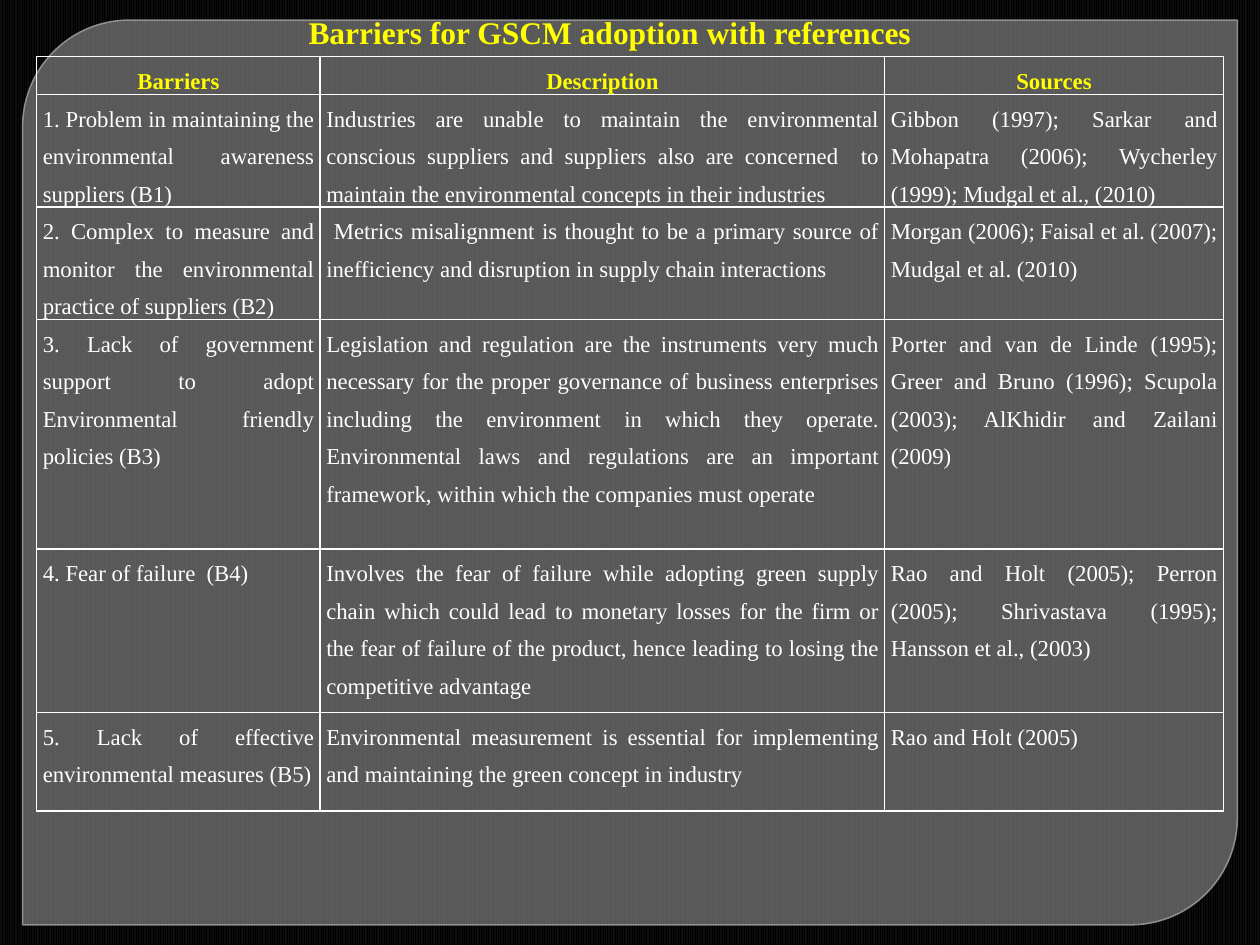
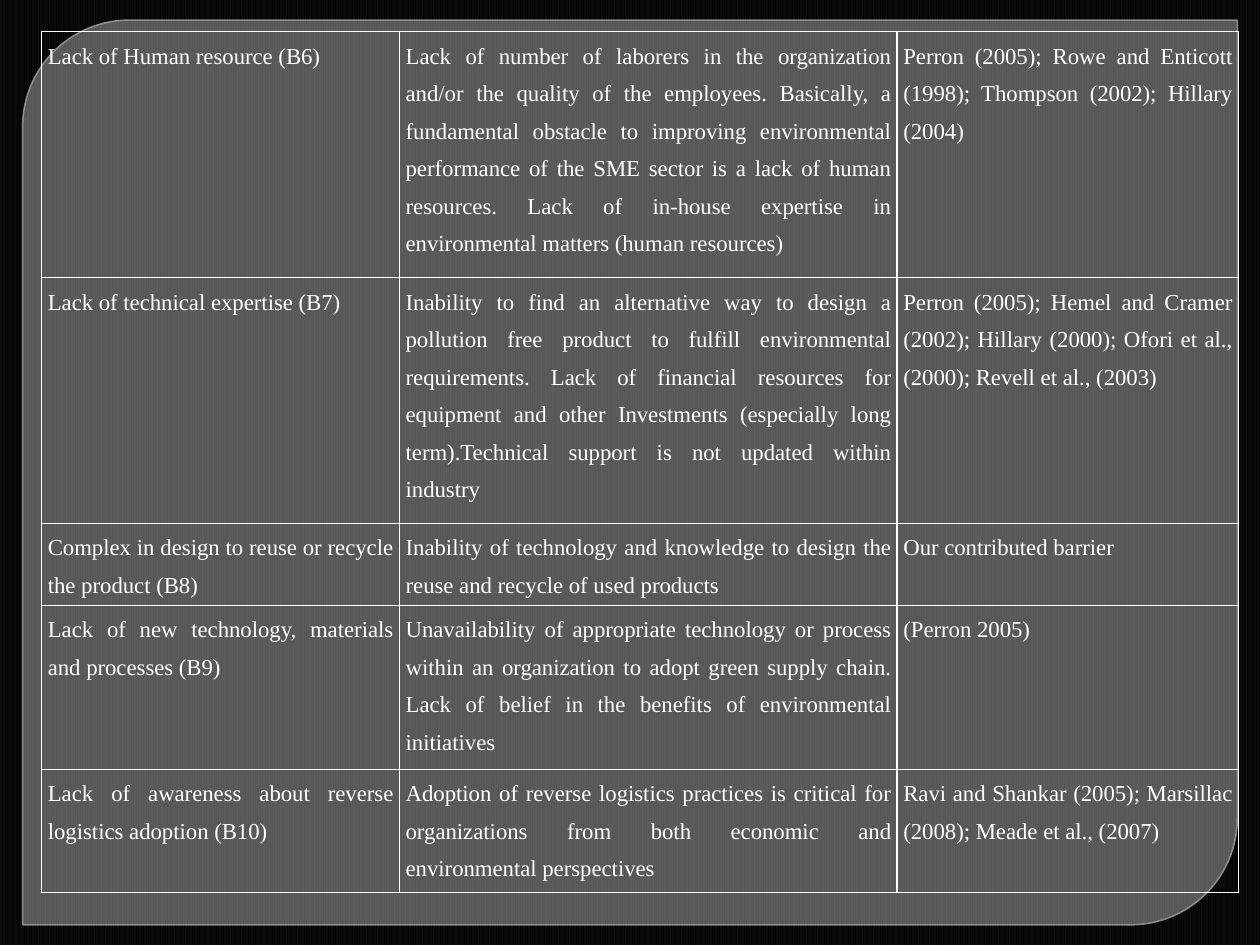
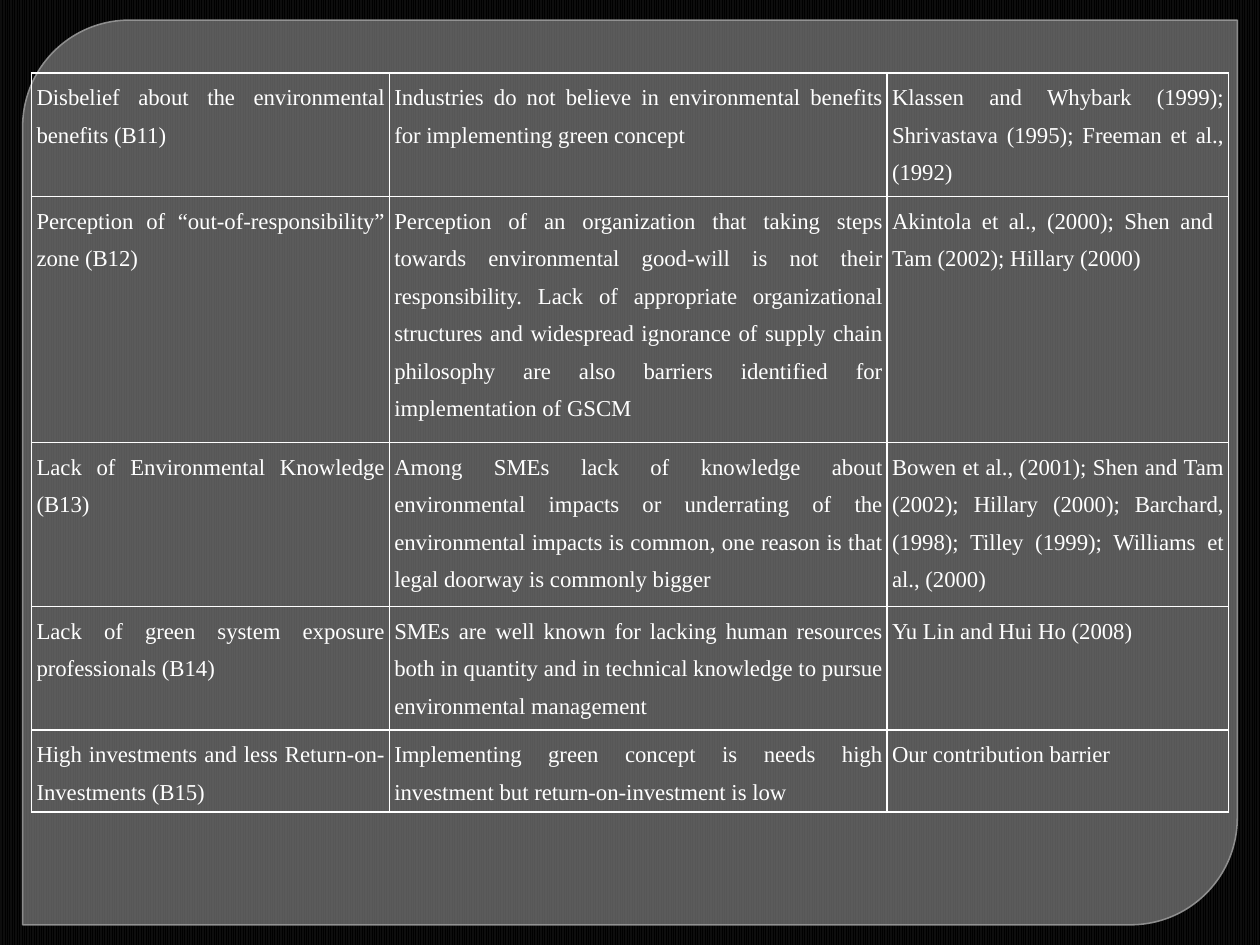
import lxml.etree
import pptx
import pptx.dml.color
import pptx.enum.dml
import pptx.enum.shapes
import pptx.enum.text
import pptx.oxml.ns
import pptx.util
from dataclasses import dataclass
from pptx.util import Inches

qn = pptx.oxml.ns.qn
ALIGN = pptx.enum.text.PP_ALIGN
ANCHOR = pptx.enum.text.MSO_ANCHOR


def rgb(code):
    return pptx.dml.color.RGBColor.from_string(code)


@dataclass(frozen=True)
class Theme:
    font: str = "Times New Roman"
    heading: str = "FFFF00"
    body: str = "FFFFFF"
    border: str = "FFFFFF"
    stripe: str = "000000"
    backdrop: str = "0D0D0D"
    panel: str = "868686"
    panel_edge: str = "9A9A9A"
    title_size: float = 18
    table_size: float = 13
    border_width: float = 1
    panel_edge_width: float = 0.87
    line_spacing: float = 1.5


class Deck:
    """Holds the theme and the slide being filled."""

    def __init__(self, theme):
        self.theme = theme
        self.presentation = pptx.Presentation()
        self.presentation.slide_width = Inches(10)
        self.presentation.slide_height = Inches(7.5)
        self.slide = None

    def apply(self, target, formats):
        for name, value in formats.items():
            setattr(target, name, value)

    def set_alpha(self, fill, percent):
        color = fill._xPr.find(qn("a:solidFill"))[0]
        lxml.etree.SubElement(color, qn("a:alpha"), val=str(percent * 1000))

    def new_slide(self):
        blank = self.presentation.slide_layouts[6]
        self.slide = self.presentation.slides.add_slide(blank)
        backdrop = self.slide.background.fill
        backdrop.patterned()
        backdrop.pattern = pptx.enum.dml.MSO_PATTERN.NARROW_VERTICAL
        backdrop.fore_color.rgb = rgb(self.theme.stripe)
        backdrop.back_color.rgb = rgb(self.theme.backdrop)
        self.panel()

    def panel(self):
        panel = self.slide.shapes.add_shape(
            pptx.enum.shapes.MSO_SHAPE.ROUND_2_DIAG_RECTANGLE,
            Inches(0.18), Inches(0.16), Inches(9.64), Inches(7.18))
        panel.shadow.inherit = False
        panel.adjustments[0] = 0.118
        panel.adjustments[1] = 0
        panel.line.width = pptx.util.Pt(self.theme.panel_edge_width)
        for fill, color, alpha in (
                (panel.fill, self.theme.panel, 65),
                (panel.line.fill, self.theme.panel_edge, 88)):
            fill.solid()
            fill.fore_color.rgb = rgb(color)
            self.set_alpha(fill, alpha)

    def add_text(self, frame, text, size, color, bold, align, spacing=None):
        paragraph = frame.paragraphs[0]
        self.apply(paragraph, {"alignment": align, "line_spacing": spacing})
        run = paragraph.add_run()
        run.text = text
        self.apply(run.font, {"name": self.theme.font, "bold": bold,
                              "size": pptx.util.Pt(size)})
        run.font.color.rgb = rgb(color)

    def title(self, text):
        title = self.slide.shapes.add_textbox(
            Inches(2.35), Inches(0.05), Inches(5.29), Inches(0.4))
        self.apply(title.text_frame, {"word_wrap": True,
                                      "vertical_anchor": ANCHOR.MIDDLE})
        self.add_text(title.text_frame, text, self.theme.title_size,
                      self.theme.heading, True, ALIGN.JUSTIFY)

    def add_borders(self, cell):
        properties = cell._tc.get_or_add_tcPr()
        width = str(pptx.util.Pt(self.theme.border_width))
        for side in ("a:lnL", "a:lnR", "a:lnT", "a:lnB"):
            line = lxml.etree.SubElement(properties, qn(side), w=width)
            fill = lxml.etree.SubElement(line, qn("a:solidFill"))
            lxml.etree.SubElement(fill, qn("a:srgbClr"), val=self.theme.border)

    def table(self, left, top, widths, heights, rows, header=False, inset=0.05):
        table = self.slide.shapes.add_table(
            len(rows), len(widths), Inches(left), Inches(top),
            Inches(sum(widths)), Inches(sum(heights))).table
        self.apply(table, {"first_row": False, "horz_banding": False})
        for column, width in zip(table.columns, widths):
            column.width = Inches(width)
        for row, height in zip(table.rows, heights):
            row.height = Inches(height)
        for row_number, texts in enumerate(rows):
            is_header = header and row_number == 0
            color = self.theme.heading if is_header else self.theme.body
            align = ALIGN.CENTER if is_header else ALIGN.JUSTIFY
            for column_number, text in enumerate(texts):
                cell = table.cell(row_number, column_number)
                self.add_borders(cell)
                cell.fill.background()
                self.apply(cell, {
                    "margin_left": Inches(inset), "margin_right": Inches(inset),
                    "margin_top": 0, "margin_bottom": 0,
                    "vertical_anchor": ANCHOR.MIDDLE if is_header else ANCHOR.TOP})
                self.add_text(cell.text_frame, text, self.theme.table_size, color,
                              is_header, align, self.theme.line_spacing)


# Table contents: barrier, description, sources
BARRIERS_1_TO_5 = [
    ("Barriers", "Description", "Sources"),
    ("1. Problem in maintaining the environmental awareness suppliers (B1)",
     "Industries are unable to maintain the environmental conscious suppliers "
     "and suppliers also are concerned  to maintain the environmental concepts "
     "in their industries",
     "Gibbon (1997); Sarkar and Mohapatra (2006); Wycherley (1999); "
     "Mudgal et al., (2010)"),
    ("2. Complex to measure and monitor the environmental practice of "
     "suppliers (B2)",
     " Metrics misalignment is thought to be a primary source of inefficiency "
     "and disruption in supply chain interactions",
     "Morgan (2006); Faisal et al. (2007); Mudgal et al. (2010)"),
    ("3. Lack of government support to adopt Environmental friendly "
     "policies (B3)",
     "Legislation and regulation are the instruments very much necessary for "
     "the proper governance of business enterprises including the environment "
     "in which they operate. Environmental laws and regulations are an "
     "important framework, within which the companies must operate",
     "Porter and van de Linde (1995); Greer and Bruno (1996); Scupola (2003); "
     "AlKhidir and Zailani (2009)"),
    ("4. Fear of failure  (B4)",
     "Involves the fear of failure while adopting green supply chain which "
     "could lead to monetary losses for the firm or the fear of failure of the "
     "product, hence leading to losing the competitive advantage",
     "Rao and Holt (2005); Perron (2005); Shrivastava (1995); "
     "Hansson et al., (2003)"),
    ("5. Lack of effective environmental measures (B5)",
     "Environmental measurement is essential for implementing and maintaining "
     "the green concept in industry",
     "Rao and Holt (2005)"),
]

BARRIERS_6_TO_10 = [
    ("Lack of Human resource (B6)",
     "Lack of number of laborers in the organization and/or the quality of the "
     "employees. Basically, a fundamental obstacle to improving environmental "
     "performance of the SME sector is a lack of human resources. Lack of "
     "in-house expertise in environmental matters (human resources)",
     "Perron (2005); Rowe and Enticott (1998); Thompson (2002); Hillary (2004)"),
    ("Lack of technical expertise (B7)",
     "Inability to find an alternative way to design a pollution free product "
     "to fulfill environmental requirements. Lack of financial resources for "
     "equipment and other Investments (especially long term).Technical support "
     "is not updated within industry",
     "Perron (2005); Hemel and Cramer (2002); Hillary (2000); "
     "Ofori et al., (2000); Revell et al., (2003)"),
    ("Complex in design to reuse or recycle the product (B8)",
     "Inability of technology and knowledge to design the reuse and recycle of "
     "used products",
     "Our contributed barrier"),
    ("Lack of new technology, materials and processes (B9)",
     "Unavailability of appropriate technology or process within an "
     "organization to adopt green supply chain. Lack of belief in the benefits "
     "of environmental initiatives",
     "(Perron 2005)"),
    ("Lack of awareness about reverse logistics adoption (B10)",
     "Adoption of reverse logistics practices is critical for organizations "
     "from both economic and environmental perspectives",
     "Ravi and Shankar (2005); Marsillac (2008); Meade et al., (2007)"),
]

BARRIERS_11_TO_15 = [
    ("Disbelief about the environmental benefits (B11)",
     "Industries do not believe in environmental benefits for implementing "
     "green concept",
     "Klassen and Whybark (1999); Shrivastava (1995); Freeman et al., (1992)"),
    ("Perception of “out-of-responsibility” zone (B12)",
     "Perception of an organization that taking steps towards environmental "
     "good-will is not their responsibility. Lack of appropriate "
     "organizational structures and widespread ignorance of supply chain "
     "philosophy are also barriers identified for implementation of GSCM",
     "Akintola et al., (2000); Shen and  Tam (2002); Hillary (2000)"),
    ("Lack of Environmental Knowledge (B13)",
     "Among SMEs lack of knowledge about environmental impacts or underrating "
     "of the environmental impacts is common, one reason is that legal doorway "
     "is commonly bigger",
     "Bowen et al., (2001); Shen and Tam (2002); Hillary (2000); Barchard, "
     "(1998); Tilley (1999); Williams et al., (2000)"),
    ("Lack of green system exposure professionals (B14)",
     "SMEs are well known for lacking human resources both in quantity and in "
     "technical knowledge to pursue environmental management",
     "Yu Lin and Hui Ho (2008)"),
    ("High investments and less Return-on-Investments (B15)",
     "Implementing green concept is needs high investment but "
     "return-on-investment is low",
     "Our contribution barrier"),
]

CONTINUED_WIDTHS = (2.84, 3.95, 2.71)


def main():
    deck = Deck(Theme())

    # Barriers 1 to 5, with title and header row
    deck.new_slide()
    deck.table(0.29, 0.45, (2.25, 4.48, 2.69),
               (0.3, 0.89, 0.89, 1.82, 1.3, 0.78), BARRIERS_1_TO_5, header=True)
    deck.title("Barriers for GSCM adoption with references")

    # Barriers 6 to 10
    deck.new_slide()
    deck.table(0.33, 0.25, CONTINUED_WIDTHS,
               (1.95, 1.95, 0.65, 1.3, 0.98), BARRIERS_6_TO_10)

    # Barriers 11 to 15
    deck.new_slide()
    deck.table(0.25, 0.58, CONTINUED_WIDTHS,
               (0.98, 1.95, 1.3, 0.98, 0.65), BARRIERS_11_TO_15, inset=0.04)

    deck.presentation.save("out.pptx")


if __name__ == "__main__":
    main()
